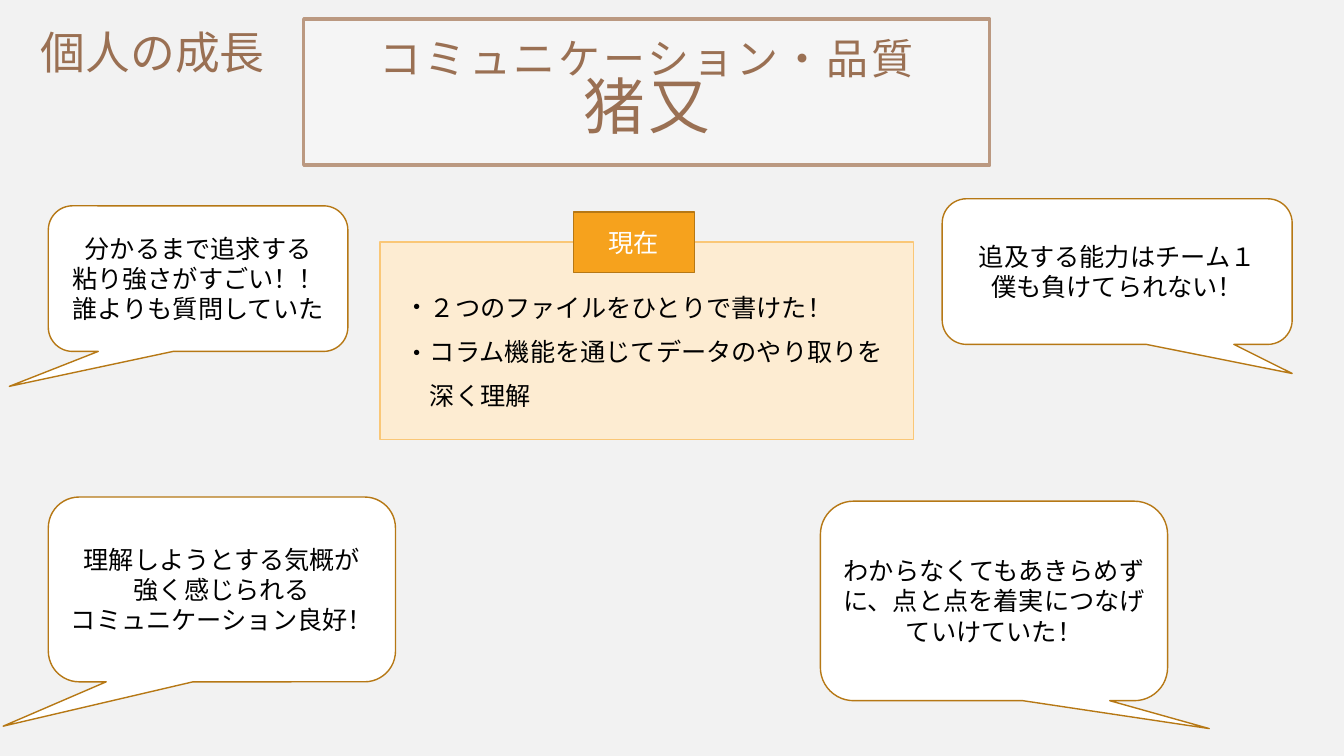
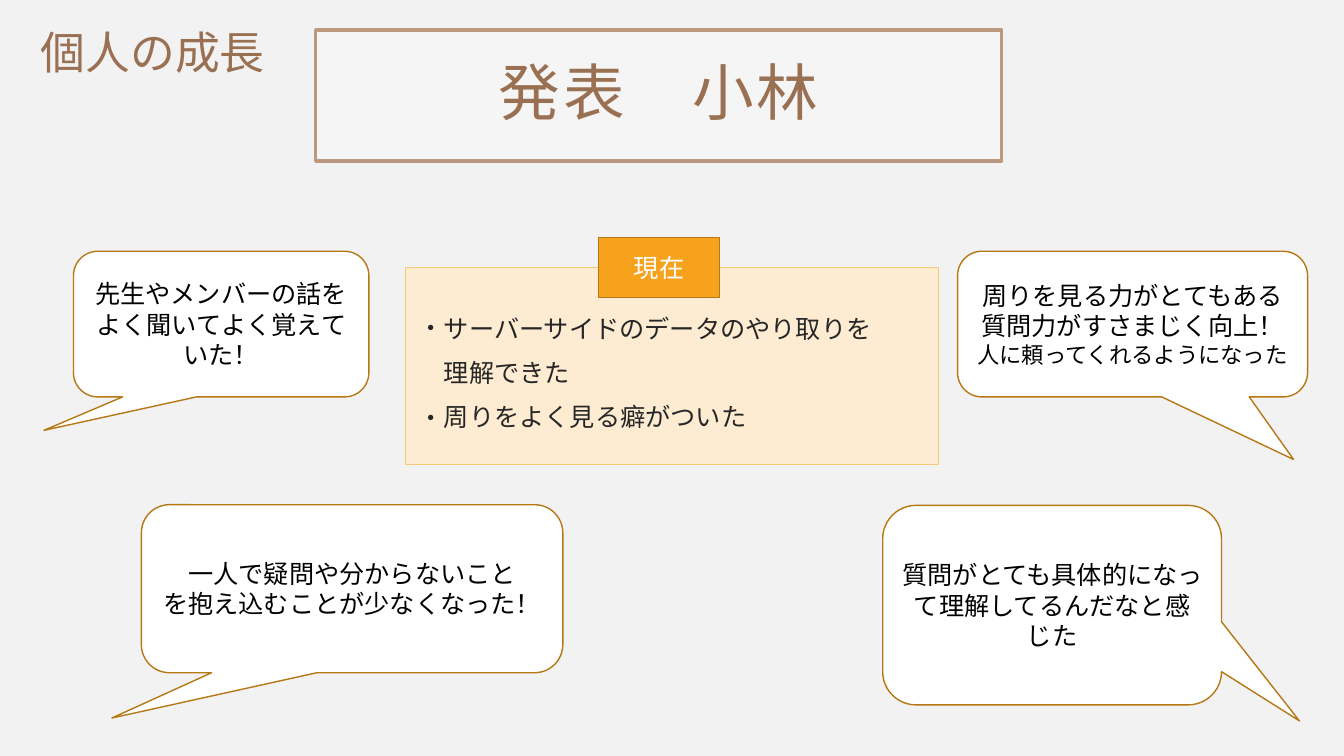
from dataclasses import dataclass

from lxml import etree
from pptx import Presentation
from pptx.dml.color import RGBColor
from pptx.enum import shapes, text
from pptx.oxml import ns
from pptx.util import Pt


@dataclass(frozen=True)
class Theme:
    font: str = "Cabin"
    bullet_font: str = "Noto Sans CJK JP"
    background: str = "F2F2F2"
    white: str = "FFFFFF"
    black: str = "000000"
    charcoal: str = "262626"
    brown: str = "9A7053"
    frame_line: str = "BB9981"
    panel_fill: str = "FDECD2"
    panel_line: str = "FAC777"
    accent: str = "F6A21D"
    accent_line: str = "B67815"
    body_size: float = 18
    small_size: float = 16
    subtitle_size: float = 30
    heading_size: float = 32
    name_size: float = 44


THEME = Theme()


def color(value):
    return RGBColor.from_string(value)


def add_box(slide, kind, box, fill, line, width=1):
    shape = slide.shapes.add_shape(kind, *map(Pt, box))
    shape.shadow.inherit = False
    shape.fill.solid()
    shape.fill.fore_color.rgb = color(fill)
    shape.line.color.rgb = color(line)
    shape.line.width = Pt(width)
    return shape


def style_run(run, size, ink, spacing=0):
    run.font.size = Pt(size)
    run.font.color.rgb = color(ink)
    run.font.name = THEME.font
    properties = run.font._element
    properties.find(ns.qn("a:latin")).addnext(
        properties.makeelement(ns.qn("a:ea"), {"typeface": THEME.font}))
    if spacing:
        properties.set("spc", str(spacing * 100))


def write_paragraphs(shape, paragraphs, ink, align=None, spacing=0):
    frame = shape.text_frame
    frame.word_wrap = True
    for index, runs in enumerate(paragraphs):
        paragraph = frame.add_paragraph() if index else frame.paragraphs[0]
        paragraph.alignment = align
        for words, size in runs:
            run = paragraph.add_run()
            run.text = words
            style_run(run, size, ink, spacing)
    return frame


def write_centered(shape, paragraphs, ink, spacing=0):
    frame = write_paragraphs(shape, paragraphs, ink, text.PP_ALIGN.CENTER, spacing)
    frame.vertical_anchor = text.MSO_ANCHOR.MIDDLE
    return frame


def body_lines(*lines):
    return [[(line, THEME.body_size)] for line in lines]


def set_bullet(paragraph, left, hang, bullet_font):
    properties = paragraph._p.get_or_add_pPr()
    properties.set("marL", str(Pt(left)))
    properties.set("indent", str(-Pt(hang)))
    if bullet_font:
        etree.SubElement(properties, ns.qn("a:buFont"), typeface=bullet_font)
        etree.SubElement(properties, ns.qn("a:buChar"), char="・")
    else:
        etree.SubElement(properties, ns.qn("a:buNone"))


def add_heading(slide):
    box = slide.shapes.add_textbox(Pt(22), Pt(14), Pt(214), Pt(50))
    write_paragraphs(box, [[("個人の成長", THEME.heading_size)]], THEME.brown)


def add_title_frame(slide, box, paragraphs, line_spacing):
    shape = add_box(slide, shapes.MSO_SHAPE.RECTANGLE, box,
                    THEME.white, THEME.frame_line, 2.5)
    fill_color = shape.fill._xPr.find(ns.qn("a:solidFill"))[0]
    etree.SubElement(fill_color, ns.qn("a:alpha"), val="30000")
    frame = write_centered(shape, paragraphs, THEME.brown, spacing=2)
    frame.margin_left = frame.margin_right = Pt(14.4)
    frame.margin_top = frame.margin_bottom = Pt(14.4)
    for paragraph in frame.paragraphs:
        paragraph.line_spacing = line_spacing


def add_panel(slide, left, top):
    add_box(slide, shapes.MSO_SHAPE.RECTANGLE, (left, top, 381, 141),
            THEME.panel_fill, THEME.panel_line)
    tag = add_box(slide, shapes.MSO_SHAPE.RECTANGLE, (left + 138, top - 21.5, 86.5, 43),
                  THEME.accent, THEME.accent_line)
    write_centered(tag, body_lines("現在"), THEME.white)


def add_points(slide, left, top, points, ink):
    box = slide.shapes.add_textbox(Pt(left), Pt(top), Pt(359), Pt(120))
    frame = write_paragraphs(box, body_lines(*(point[0] for point in points)), ink)
    for index, (paragraph, point) in enumerate(zip(frame.paragraphs, points)):
        set_bullet(paragraph, *point[1:])
        if index:
            paragraph.space_before = Pt(10)


def add_callout(slide, box, tip, paragraphs):
    shape = add_box(slide, shapes.MSO_SHAPE.ROUNDED_RECTANGULAR_CALLOUT, box,
                    THEME.white, THEME.accent_line)
    shape.adjustments[0], shape.adjustments[1] = tip
    write_centered(shape, paragraphs, THEME.black)


def add_slide(presentation):
    slide = presentation.slides.add_slide(presentation.slide_layouts[6])
    slide.background.fill.solid()
    slide.background.fill.fore_color.rgb = color(THEME.background)
    add_heading(slide)
    return slide


def build_communication(presentation):
    slide = add_slide(presentation)
    add_title_frame(slide, (217, 13.5, 490, 104.5),
                    [[("コミュニケーション・品質", THEME.subtitle_size)],
                     [("猪又", THEME.name_size)]], 0.8)
    add_panel(slide, 271.5, 173)
    add_points(slide, 282, 205, [
        ("２つのファイルをひとりで書けた！", 6, 6, THEME.font),
        ("コラム機能を通じてデータのやり取りを", 18, 18, THEME.bullet_font),
        ("深く理解", 18, 0, None),
    ], THEME.black)
    add_callout(slide, (34.5, 147, 214, 104), (-0.63, 0.74),
                body_lines("分かるまで追求する", "粘り強さがすごい！！", "誰よりも質問していた"))
    add_callout(slide, (673, 142, 250, 104), (0.5, 0.7),
                body_lines("追及する能力はチーム１", "僕も負けてられない！"))
    add_callout(slide, (586, 358, 248, 142.5), (0.62, 0.64),
                body_lines("わからなくてもあきらめずに、点と点を着実につなげていけていた！"))
    add_callout(slide, (34.5, 355, 248, 132), (-0.63, 0.74),
                body_lines("理解しようとする気概が", "強く感じられる", "コミュニケーション良好！"))


def build_presentation_skill(presentation):
    slide = add_slide(presentation)
    add_title_frame(slide, (225.5, 21.5, 490, 93.5),
                    [[("発表　小林", THEME.name_size)]], 0.9)
    add_panel(slide, 289.5, 191)
    add_points(slide, 292, 220, [
        ("サーバーサイドのデータのやり取りを", 6, 6, THEME.font),
        ("理解できた", 18, 0, None),
        ("周りをよく見る癖がついた", 18, 18, THEME.bullet_font),
    ], THEME.charcoal)
    add_callout(slide, (52.5, 179.5, 211, 104), (-0.6, 0.73),
                body_lines("先生やメンバーの話をよく聞いてよく覚えていた！"))
    add_callout(slide, (684, 179.5, 250, 104), (0.46, 0.93),
                [[("周りを見る力がとてもある", THEME.body_size)],
                 [("質問力がすさまじく向上！", THEME.body_size),
                  ("人に頼ってくれるようになった", THEME.small_size)]])
    add_callout(slide, (101, 360.5, 301, 120), (-0.57, 0.77),
                body_lines("一人で疑問や分からないこと", "を抱え込むことが少なくなった！"))
    add_callout(slide, (630.5, 361, 242, 142.5), (0.73, 0.58),
                body_lines("質問がとても具体的になって理解してるんだなと感じた"))


def main():
    presentation = Presentation()
    presentation.slide_width = Pt(960)
    presentation.slide_height = Pt(540)
    build_communication(presentation)
    build_presentation_skill(presentation)
    presentation.save("out.pptx")


if __name__ == "__main__":
    main()
